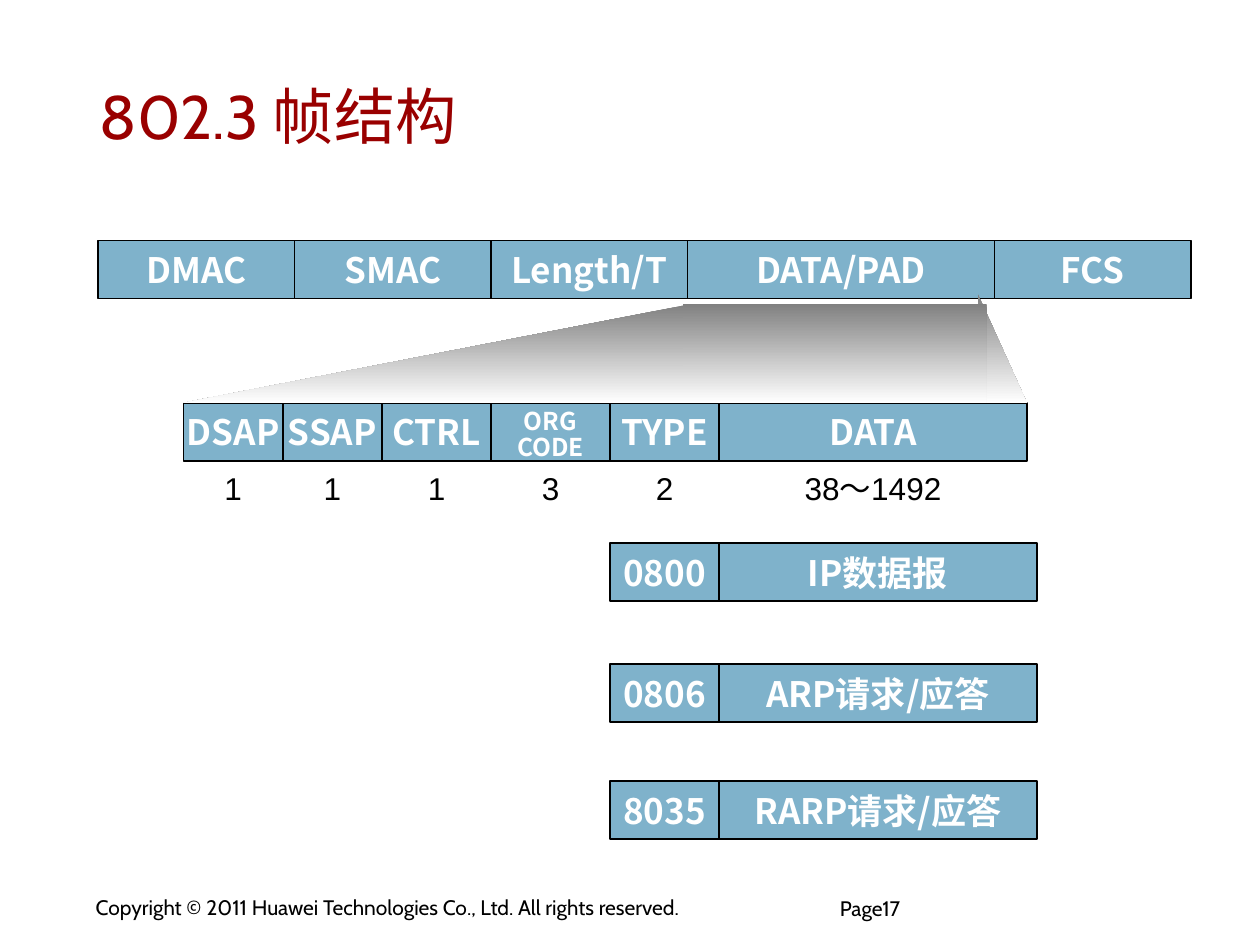
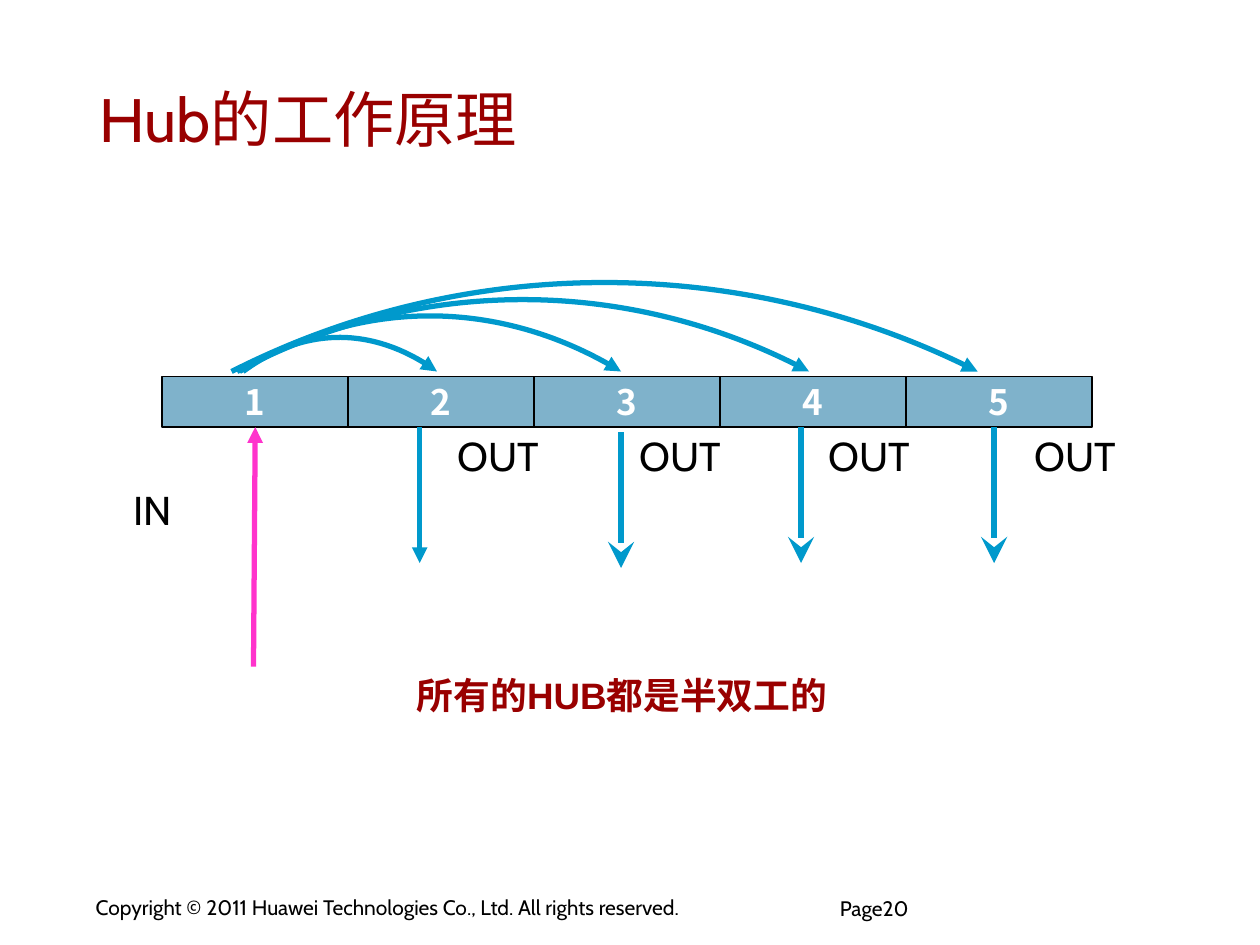
from pptx import Presentation
from pptx.dml.color import RGBColor
from pptx.enum.shapes import MSO_CONNECTOR, MSO_SHAPE
from pptx.enum.text import MSO_ANCHOR, MSO_AUTO_SIZE, PP_ALIGN
from pptx.oxml.xmlchemy import OxmlElement
from pptx.util import Cm, Pt

LEFT, CENTER = PP_ALIGN.LEFT, PP_ALIGN.CENTER
TOP, MIDDLE = MSO_ANCHOR.TOP, MSO_ANCHOR.MIDDLE
NO_FIT = MSO_AUTO_SIZE.NONE
RECTANGLE, RIGHT_TRIANGLE = MSO_SHAPE.RECTANGLE, MSO_SHAPE.RIGHT_TRIANGLE
STRAIGHT = MSO_CONNECTOR.STRAIGHT
BOTTOM_SIDE = 2
TITLE_ONLY = 5

COLORS = {
    "title": "990000",
    "text": "000000",
    "cell": "006699",
    "cell_text": "FFFFFF",
    "out": "0099CC",
    "in": "FF33CC",
    "funnel_top": "808080",
    "funnel_bottom": "FFFFFF",
}
LATIN, CHINESE, PLAIN = "Cabin", "Noto Sans CJK SC", "Arial"
COPYRIGHT = "Copyright © 2011 Huawei Technologies Co., Ltd. All rights reserved."
CELL_HEIGHT = 1.17


def color(name):
    return RGBColor.from_string(COLORS[name])


def add_xml(parent, tag, **attributes):
    child = OxmlElement(tag)
    for key, value in attributes.items():
        child.set(key, value)
    parent.append(child)
    return child


def write(box, text, size=12, font=LATIN, ink="text", bold=False, align=LEFT,
          anchor=TOP, insets=(0.25, 0.13), wrap=False, spacing=None):
    """Fill a shape with text, one paragraph per line; insets are (side, top) in cm."""
    frame = box.text_frame
    frame.auto_size = NO_FIT
    frame.word_wrap = wrap
    frame.vertical_anchor = anchor
    frame.margin_left = frame.margin_right = Cm(insets[0])
    frame.margin_top = frame.margin_bottom = Cm(insets[1])
    for number, line in enumerate(text.split("\n")):
        para = frame.add_paragraph() if number else frame.paragraphs[0]
        para.alignment = align
        if spacing:
            para.line_spacing = spacing
        span = para.add_run()
        span.text = line
        span.font.size = Pt(size)
        span.font.bold = bold
        span.font.name = font
        span.font.color.rgb = color(ink)
        add_xml(span._r.get_or_add_rPr(), "a:ea", typeface=CHINESE)


def add_label(page, left, top, width, height, text, **style):
    box = page.shapes.add_textbox(Cm(left), Cm(top), Cm(width), Cm(height))
    write(box, text, **style)


def add_page(deck, title, number, title_top, title_height):
    page = deck.slides.add_slide(deck.slide_layouts[TITLE_ONLY])
    heading = page.shapes.title
    heading.left, heading.top = Cm(1.78), Cm(title_top)
    heading.width, heading.height = Cm(21.45), Cm(title_height)
    write(heading, title, size=35, ink="title", anchor=MIDDLE, wrap=True,
          insets=(0.23, 0.1))
    add_label(page, 1.7, 17.93, 14.15, 0.74, COPYRIGHT, insets=(0.23, 0.1))
    add_label(page, 16.93, 18.14, 4.22, 0.91, f"Page{number}",
              insets=(0, 0), wrap=True, spacing=0.85)
    return page


def add_cell(page, left, top, width, height, text):
    cell = page.shapes.add_shape(RECTANGLE, Cm(left), Cm(top), Cm(width), Cm(height))
    cell.shadow.inherit = False
    cell.fill.solid()
    cell.fill.fore_color.rgb = color("cell")
    add_xml(cell.element.xpath("./p:spPr/a:solidFill/a:srgbClr")[0],
            "a:alpha", val="50000")
    cell.line.color.rgb = color("text")
    cell.line.width = Pt(1)
    if "\n" in text:
        layout = {"size": 14, "anchor": TOP, "spacing": 0.9}
    else:
        layout = {"size": 20, "anchor": MIDDLE}
    write(cell, text, font=CHINESE, ink="cell_text", bold=True, align=CENTER, **layout)
    return cell


def add_cell_row(page, left, top, height, fields):
    """Place (text, width) fields side by side and return their cells."""
    cells = []
    for text, width in fields:
        cells.append(add_cell(page, left, top, width, height, text))
        left += width
    return cells


def add_field_lengths(page, left, top, widths, lengths):
    for width, length in zip(widths, lengths):
        label_width = 0.86 if len(length) == 1 else 3.56
        add_label(page, left + (width - label_width) / 2, top, label_width, 1.02,
                  length, size=18, font=PLAIN, align=CENTER)
        left += width


def add_funnel(page, left, top):
    """Shade the widening from the data field down to its inner fields."""
    group = page.shapes.add_group_shape()
    parts = [
        (RIGHT_TRIANGLE, 0, 0.2, 10.29, 2, True),
        (RIGHT_TRIANGLE, 16.01, 0, 0.99, 2.2, False),
        (RECTANGLE, 10.07, 0.2, 6.12, 2, False),
    ]
    for kind, across, down, width, height, mirrored in parts:
        part = group.shapes.add_shape(kind, Cm(left + across), Cm(top + down),
                                      Cm(width), Cm(height))
        part.shadow.inherit = False
        part.line.fill.background()
        part.fill.gradient()
        part.fill.gradient_angle = 270
        for stop, name in zip(part.fill.gradient_stops, ("funnel_top", "funnel_bottom")):
            stop.color.rgb = color(name)
        if mirrored:
            part.element.xpath("./p:spPr/a:xfrm")[0].set("flipH", "1")


def style_arrow(arrow, ink, head="triangle", size="med"):
    arrow.line.color.rgb = color(ink)
    arrow.line.width = Pt(3)
    add_xml(arrow.get_or_add_ln() if hasattr(arrow, "get_or_add_ln")
            else arrow.line._get_or_add_ln(),
            "a:tailEnd", type=head, w=size, len=size)


def add_arrow(page, start, end, ink, **head):
    points = [Cm(value) for value in (*start, *end)]
    arrow = page.shapes.add_connector(STRAIGHT, *points)
    style_arrow(arrow, ink, **head)
    add_xml(arrow.element.spPr, "a:effectLst")
    return arrow


def add_arc(page, start, end, base, rise):
    """Draw one Bezier arc with an arrowhead between two points on a base line."""
    reach = 0.31 * (end - start)
    corners = [(start + reach, base - rise), (end - reach, base - rise), (end, base)]
    builder = page.shapes.build_freeform(Cm(start), Cm(base))
    builder.add_line_segments([(Cm(x), Cm(y)) for x, y in corners], close=False)
    arc = builder.convert_to_shape()
    lines = arc.element.xpath(".//a:lnTo")
    curve = add_xml(lines[0].getparent(), "a:cubicBezTo")
    for line in lines:
        line.getparent().remove(line)
        curve.append(line[0])
    arc.shadow.inherit = False
    arc.fill.background()
    style_arrow(arc, "out")


def add_frame_page(deck):
    page = add_page(deck, "802.3 帧结构", 17, 1.12, 2.41)
    inner_left, inner_top = 3.7, 8.12
    inner = [("DSAP", 2), ("SSAP", 2), ("CTRL", 2.2), ("ORG\nCODE", 2.4),
             ("TYPE", 2.2), ("DATA", 6.2)]
    outer = [("DMAC", 3.96), ("SMAC", 3.96), ("Length/T", 3.96),
             ("DATA/PAD", 6.19), ("FCS", 3.96)]
    add_cell_row(page, 1.98, 4.85, CELL_HEIGHT, outer)
    add_cell_row(page, inner_left, inner_top, CELL_HEIGHT, inner)
    add_field_lengths(page, inner_left, inner_top + 1.2, [width for _, width in inner],
                      ["1", "1", "1", "3", "2", "38～1492"])
    type_left = inner_left + sum(width for _, width in inner[:4])
    payloads = [(10.95, "0800", "IP数据报"), (13.39, "0806", "ARP请求/应答"),
                (15.75, "8035", "RARP请求/应答")]
    for top, code, payload in payloads:
        add_cell_row(page, type_left, top, CELL_HEIGHT, [(code, 2.2), (payload, 6.4)])
    add_funnel(page, inner_left, inner_top - 2.2)


def add_hub_page(deck):
    page = add_page(deck, "Hub的工作原理", 20, 1.52, 1.73)
    port_top, port_height = 7.59, 1.02
    port_bottom = port_top + port_height
    ports = add_cell_row(page, 3.27, port_top, port_height,
                         [(str(number), 3.75) for number in range(1, 6)])
    arcs = [(4.9, 8.81, 0.89), (4.83, 12.52, 1.47), (4.78, 16.31, 1.91),
            (4.67, 19.71, 2.37)]
    for start, end, rise in arcs:
        add_arc(page, start, end, port_top - 0.1, rise)

    label = {"size": 23, "insets": (0, 0), "wrap": True}
    incoming = add_arrow(page, (5.11, 13.44), (5.15, port_bottom), "in")
    incoming.end_connect(ports[0], BOTTOM_SIDE)
    add_label(page, 2.69, 9.78, 1.96, 0.97, "IN", **label)

    stealth = {"head": "stealth", "size": "lg"}
    outputs = [(8.46, 0, 9.22, {}), (12.52, 0.1, 12.9, stealth),
               (16.15, 0, 16.71, stealth), (20.04, 0, 20.85, stealth)]
    for across, drop, label_left, head in outputs:
        start = port_bottom + drop
        add_arrow(page, (across, start), (across, start + 2.74), "out", **head)
        add_label(page, label_left, 8.69, 1.96, 0.97, "OUT", **label)

    add_label(page, 7.98, 13.44, 9.12, 1.14, "所有的HUB都是半双工的",
              size=21, font=PLAIN, ink="title", bold=True, align=CENTER)


def main():
    deck = Presentation()
    deck.slide_width, deck.slide_height = Cm(25.4), Cm(19.05)
    add_frame_page(deck)
    add_hub_page(deck)
    deck.save("out.pptx")


if __name__ == "__main__":
    main()
